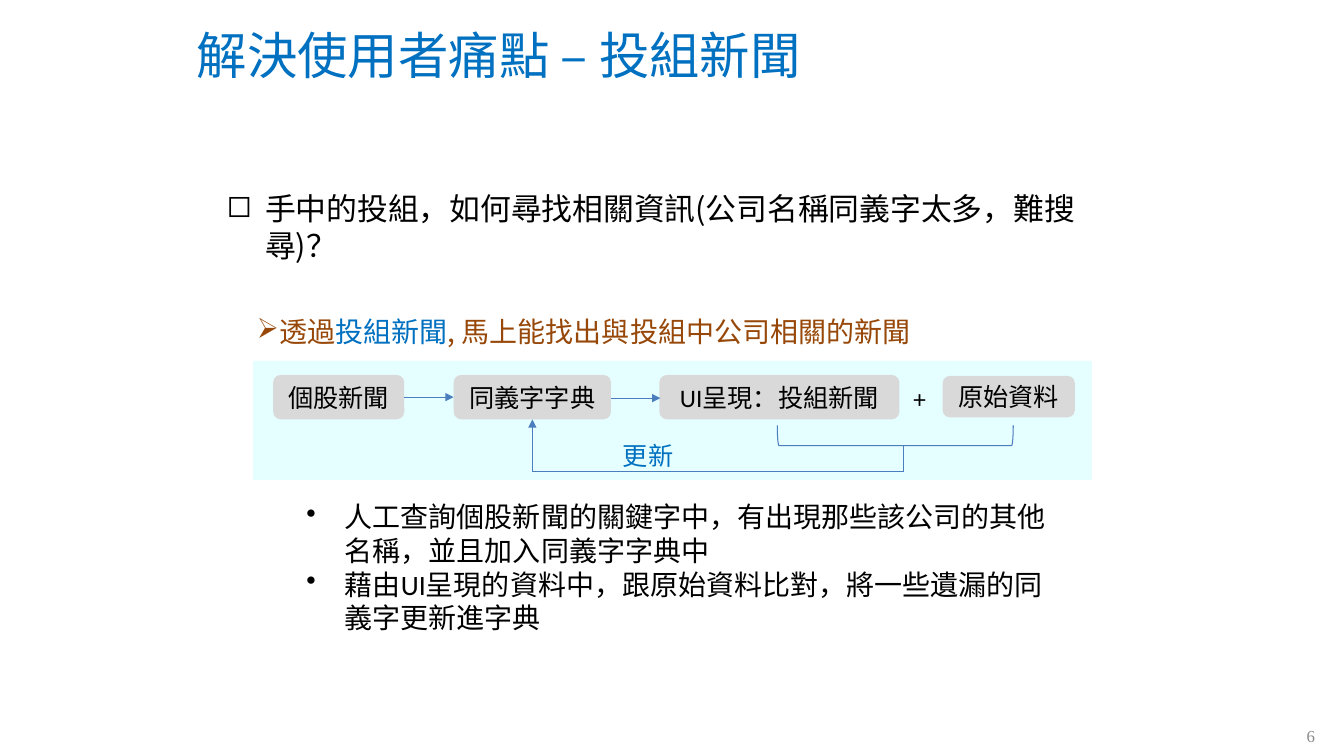
import pptx
import pptx.util
import pptx.dml.color
import pptx.enum.shapes
import pptx.enum.text
import pptx.oxml.ns
import pptx.oxml.xmlchemy

PX = 9144  # 100 px to the inch
Pt = pptx.util.Pt
SHAPE = pptx.enum.shapes.MSO_SHAPE
ALIGN = pptx.enum.text.PP_ALIGN
ANCHOR = pptx.enum.text.MSO_ANCHOR
make = pptx.oxml.xmlchemy.OxmlElement
qn = pptx.oxml.ns.qn
COLORS = {"blue": "0070C0", "black": "000000", "brown": "974707", "gray": "888888",
          "node": "D9D9D9", "panel": "E5FEFF", "line": "4B7EBC"}
SANS, BODY = "Noto Sans CJK JP", "Calibri"


def rgb(name):
    return pptx.dml.color.RGBColor.from_string(COLORS[name])


def write(para, parts, size, font=BODY, bullet=None, left=0, hang=0):
    """Fill a paragraph with (text, color) parts; left and hang are its indents in px."""
    props = para._p.get_or_add_pPr()
    props.set("marL", str(left * PX))
    props.set("indent", str(-hang * PX))
    if bullet:
        mark = make("a:buChar")
        mark.set("char", bullet)
        props.append(mark)
    for text, color in parts:
        run = para.add_run()
        run.text = text
        run.font.size = Pt(size)
        run.font.name = font
        run.font.color.rgb = rgb(color)
        east = make("a:ea")
        east.set("typeface", font)
        run.font._element.find(qn("a:latin")).addnext(east)


deck = pptx.Presentation()
deck.slide_width, deck.slide_height = 1333 * PX, 750 * PX
slide = deck.slides.add_slide(deck.slide_layouts[5])
shapes = slide.shapes

# Title
title = shapes.title
title.left, title.top, title.width, title.height = [n * PX for n in (195, 23, 763, 62)]
frame = title.text_frame
frame.margin_left = frame.margin_top = frame.margin_right = frame.margin_bottom = 0
frame.vertical_anchor = ANCHOR.MIDDLE
write(frame.paragraphs[0], [("解決使用者痛點 – 投組新聞", "blue")], 36, SANS)
frame.paragraphs[0].alignment = ALIGN.LEFT

# Flow panel and nodes
nodes = [
    (SHAPE.RECTANGLE, "panel", (251, 358, 832, 118), ""),
    (SHAPE.ROUNDED_RECTANGLE, "node", (271, 372, 130, 44), "個股新聞"),
    (SHAPE.ROUNDED_RECTANGLE, "node", (450, 372, 156, 44), "同義字字典"),
    (SHAPE.ROUNDED_RECTANGLE, "node", (654, 372, 238, 44), "UI呈現：投組新聞"),
    (SHAPE.ROUNDED_RECTANGLE, "node", (935, 373, 131, 41), "原始資料"),
]
for kind, fill, place, text in nodes:
    node = shapes.add_shape(kind, *[n * PX for n in place])
    node.shadow.inherit = False
    node.fill.solid()
    node.fill.fore_color.rgb = rgb(fill)
    node.line.fill.background()
    if text:
        frame = node.text_frame
        frame.margin_left = frame.margin_right = 0
        frame.vertical_anchor = ANCHOR.MIDDLE
        write(frame.paragraphs[0], [(text, "black")], 18)
        frame.paragraphs[0].alignment = ALIGN.CENTER

# Links between nodes and the update loop
links = [
    (401, 394, 450, 394, True),
    (606, 395, 655, 395, True),
    (896, 442, 896, 468, False),
    (528, 468, 896, 468, False),
    (528, 468, 528, 416, True),
]
for *ends, arrow in links:
    link = shapes.add_connector(pptx.enum.shapes.MSO_CONNECTOR.STRAIGHT, *[n * PX for n in ends])
    link.line.color.rgb = rgb("line")
    link.line.width = Pt(0.75)
    if arrow:
        tip = make("a:tailEnd")
        tip.set("type", "triangle")
        link.line._get_or_add_ln().append(tip)
    link._element.spPr.append(make("a:effectLst"))

brace = shapes.add_shape(SHAPE.LEFT_BRACKET, *[n * PX for n in (878, 315, 20, 234)])
brace.rotation = 270
brace.shadow.inherit = False
brace.fill.background()
brace.line.color.rgb = rgb("line")
brace.line.width = Pt(0.75)

# Text boxes: place, then the arguments of each paragraph
texts = [
    ((214, 183, 925, 132), [
        ([("手中的投組，如何尋找相關資訊(公司名稱同義字太多，難搜尋)？", "black")],
         22, SANS, "◻", 39, 38),
        ([("透過", "brown"), ("投組新聞", "blue"),
          (", 馬上能找出與投組中公司相關的新聞", "brown")], 20, SANS, "➢", 53, 22)]),
    ((608, 432, 87, 41), [([("更新", "blue")], 18)]),
    ((896, 375, 35, 41), [([("+", "black")], 18)]),
    ((194, 491, 871, 145), [
        ([(text, "black")], 20, BODY, "•", 138, 38) for text in (
            "人工查詢個股新聞的關鍵字中，有出現那些該公司的其他名稱，並且加入同義字字典中",
            "藉由UI呈現的資料中，跟原始資料比對，將一些遺漏的同義字更新進字典")]),
    ((1292, 720, 33, 20), [([("6", "gray")], 12, "Times New Roman", None, 4)]),
]
for place, paras in texts:
    box = shapes.add_textbox(*[n * PX for n in place])
    frame = box.text_frame
    frame.word_wrap = True
    for i, args in enumerate(paras):
        para = frame.paragraphs[0] if i == 0 else frame.add_paragraph()
        write(para, *args)
    if place[1] == 183:
        para.space_before = Pt(36.6)

# The page number, last in the list, sits flush in its box
frame.margin_left = frame.margin_top = frame.margin_right = frame.margin_bottom = 0
para.line_spacing = Pt(14.1)

deck.save("out.pptx")
